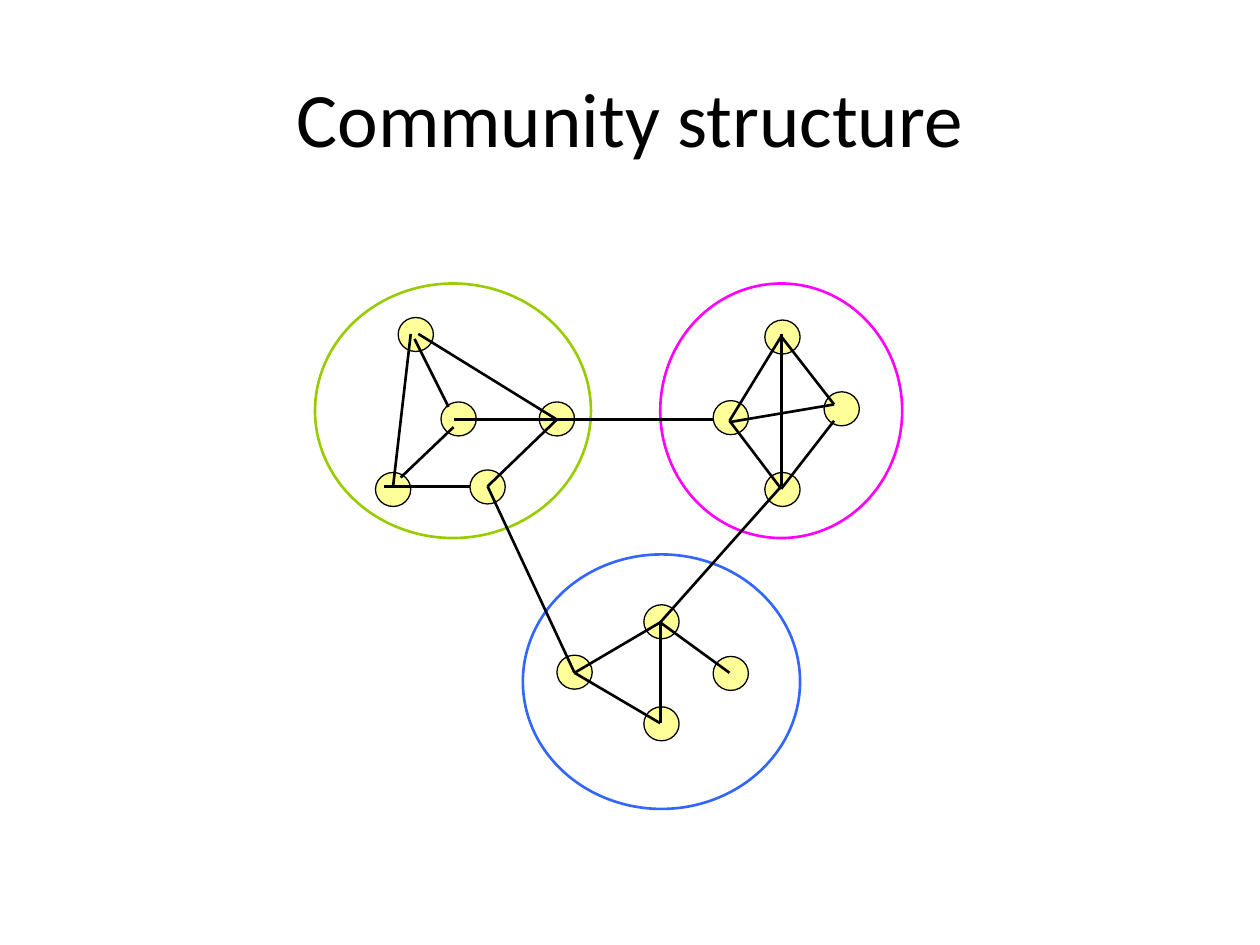
from lxml import etree
from pptx import Presentation
from pptx.dml.color import RGBColor
from pptx.enum import shapes, text
from pptx.oxml.ns import qn
from pptx.util import Inches, Pt

BLACK = RGBColor(0x00, 0x00, 0x00)
NODE_YELLOW = RGBColor(0xFF, 0xFF, 0x99)
GREEN = RGBColor(0x99, 0xCC, 0x00)
MAGENTA = RGBColor(0xFF, 0x00, 0xFF)
BLUE = RGBColor(0x33, 0x66, 0xFF)

NODE_SIZE = (0.28, 0.27)

# Each community: ring box, ring colour, then nodes (left, top) and
# edges (from x, from y, to x, to y) relative to the ring box
COMMUNITIES = [
    ((2.5, 2.25, 2.19, 2.02), GREEN,
     [(0.66, 0.27), (1, 0.94), (1.23, 1.48), (1.78, 0.94), (0.48, 1.5)],
     [(0.79, 0.44, 1.06, 0.98), (0.76, 0.4, 0.62, 1.61),
      (1.1, 1.14, 0.68, 1.54), (1.1, 1.08, 1.92, 1.08),
      (0.55, 1.61, 1.23, 1.61), (1.92, 1.08, 1.37, 1.61),
      (0.82, 0.4, 1.92, 1.08)]),
    ((5.24, 2.25, 1.92, 2.02), MAGENTA,
     [(0.83, 0.29), (0.42, 0.93), (1.3, 0.86), (0.83, 1.5)],
     [(0.55, 1.09, 0.96, 0.42), (0.96, 0.42, 1.38, 0.96),
      (0.55, 1.09, 0.96, 1.63), (1.38, 1.09, 0.96, 1.63),
      (0.55, 1.1, 1.38, 0.96), (0.96, 0.4, 0.96, 1.61)]),
    ((4.15, 4.4, 2.2, 2.02), BLUE,
     [(0.27, 0.8), (0.96, 0.4), (0.96, 1.21), (1.51, 0.81)],
     [(0.41, 0.94, 1.09, 0.54), (1.09, 0.54, 1.09, 1.34),
      (0.41, 0.94, 1.09, 1.34), (1.09, 0.54, 1.64, 0.94)]),
]

# Links between communities, in slide coordinates
BRIDGES = [(4.42, 3.33, 5.66, 3.33),
           (3.87, 3.86, 4.56, 5.34),
           (5.24, 4.94, 6.2, 3.86)]


def write_text(frame, content, *, font, size, color, align, anchor):
    frame.word_wrap = True
    frame.vertical_anchor = anchor
    paragraph = frame.paragraphs[0]
    paragraph.alignment = align
    run = paragraph.add_run()
    run.text = content
    run.font.name = font
    run.font.size = Pt(size)
    run.font.color.rgb = color


def add_title(slide, box, content):
    title = slide.shapes.title
    title.left, title.top, title.width, title.height = map(Inches, box)
    write_text(title.text_frame, content, font="Calibri", size=44, color=BLACK,
               align=text.PP_ALIGN.CENTER, anchor=text.MSO_ANCHOR.MIDDLE)


def add_ellipse(slide, box, *, line, weight, fill=None):
    ellipse = slide.shapes.add_shape(shapes.MSO_SHAPE.OVAL, *map(Inches, box))
    ellipse.shadow.inherit = False
    if fill is None:
        ellipse.fill.background()
    else:
        ellipse.fill.solid()
        ellipse.fill.fore_color.rgb = fill
    ellipse.line.color.rgb = line
    ellipse.line.width = Pt(weight)


def add_edge(slide, ends):
    edge = slide.shapes.add_connector(shapes.MSO_CONNECTOR.STRAIGHT,
                                      *map(Inches, ends))
    edge.line.color.rgb = BLACK
    edge.line.width = Pt(1.5)
    etree.SubElement(edge._element.spPr, qn("a:effectLst"))


def add_community(slide, box, color, nodes, edges):
    left, top = box[:2]
    for x, y in nodes:
        add_ellipse(slide, (left + x, top + y, *NODE_SIZE),
                    line=BLACK, weight=0.75, fill=NODE_YELLOW)
    for x1, y1, x2, y2 in edges:
        add_edge(slide, (left + x1, top + y1, left + x2, top + y2))
    add_ellipse(slide, box, line=color, weight=1.5)


def main():
    deck = Presentation()
    deck.slide_width, deck.slide_height = Inches(10), Inches(7.5)
    slide = deck.slides.add_slide(deck.slide_layouts.get_by_name("Title Only"))

    add_title(slide, (0.5, 0.3, 9, 1.25), "Community structure")

    # Communities, then the links that join them
    for community in COMMUNITIES:
        add_community(slide, *community)
    for bridge in BRIDGES:
        add_edge(slide, bridge)

    deck.save("out.pptx")


if __name__ == "__main__":
    main()
